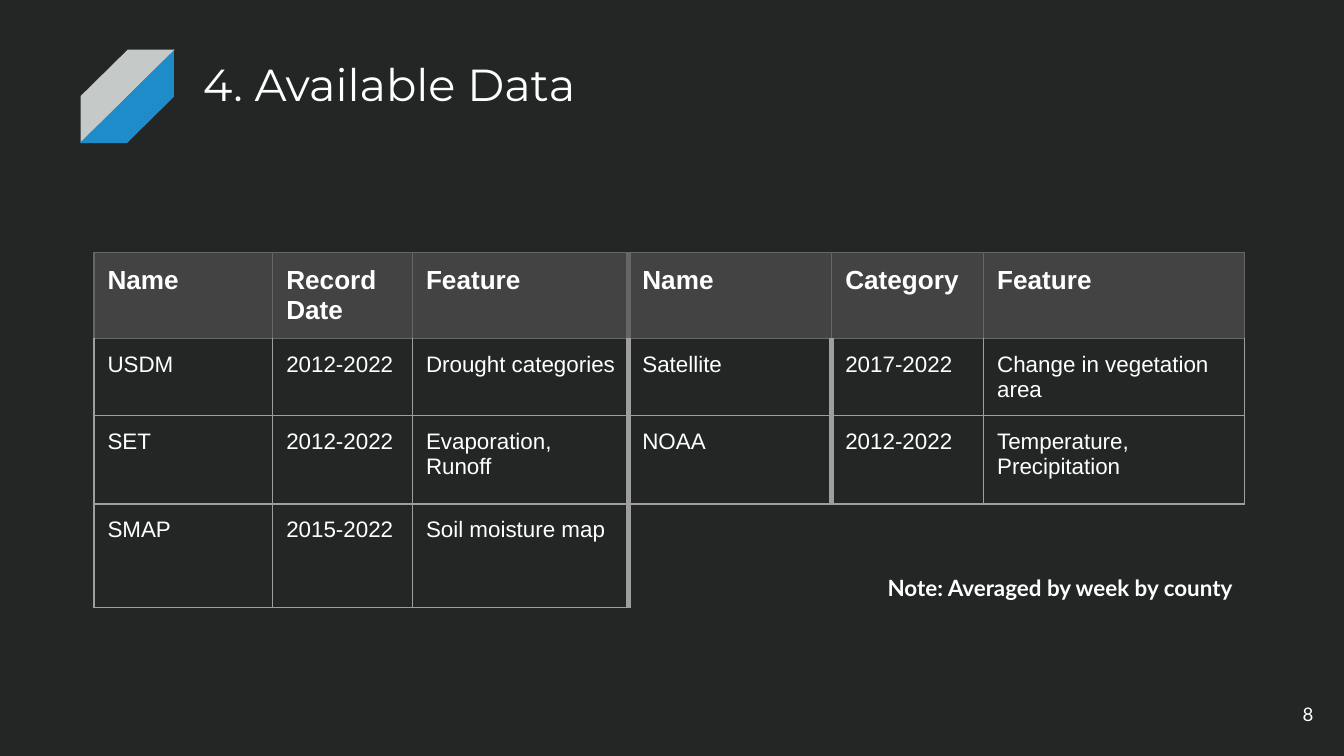
from lxml import etree
from pptx import Presentation
from pptx.dml.color import RGBColor
from pptx.enum.shapes import MSO_SHAPE as Preset
from pptx.enum.text import MSO_ANCHOR as Anchor, PP_ALIGN as Align
from pptx.oxml.ns import qn
from pptx.util import Inches, Pt

WHITE = "FFFFFF"
HEADER_LINE = "666666"
BODY_LINE = "9E9E9E"
NO_STYLE = "{2D5ABB26-0587-4C30-8999-92F81FD0307C}"
THIN, THICK = 0.75, 3
COLUMNS = [1.33, 1.04, 1.61, 1.51, 1.13, 1.94]
ROWS = [0.55, 0.43, 0.66, 0.77]
DATA = [
    ["Name", "Record Date", "Feature", "Name", "Category", "Feature"],
    ["USDM", "2012-2022", "Drought categories",
     "Satellite", "2017-2022", "Change in vegetation area"],
    ["SET", "2012-2022", "Evaporation, Runoff",
     "NOAA", "2012-2022", "Temperature, Precipitation"],
    ["SMAP", "2015-2022", "Soil moisture map", "", "", ""],
]


def color(value):
    """Turn a hex string into a colour."""
    return RGBColor.from_string(value)


def write(frame, text, font, size, bold=False, align=Align.LEFT, anchor=Anchor.TOP):
    """Put one formatted run into a text frame."""
    frame.word_wrap = True
    frame.vertical_anchor = anchor
    frame.margin_left = frame.margin_right = Inches(0.1)
    frame.margin_top = frame.margin_bottom = Inches(0.1)
    add_run(frame.paragraphs[0], text, font, size, bold, align)


def add_run(paragraph, text, font, size, bold, align=Align.LEFT):
    """Add one formatted run to a paragraph."""
    paragraph.alignment = align
    run = paragraph.add_run()
    run.text = text
    run.font.name = font
    run.font.size = Pt(size)
    run.font.bold = bold
    run.font.color.rgb = color(WHITE)


def add_title(slide, text):
    """Place and fill the title placeholder."""
    title = slide.shapes.title
    title.left, title.top = Inches(1.41), Inches(0.32)
    title.width, title.height = Inches(7.7), Inches(1)
    write(title.text_frame, text, "Montserrat", 24)


def add_label(slide, box, text, size, **options):
    """Add a right-aligned text box."""
    shape = slide.shapes.add_textbox(*map(Inches, box))
    write(shape.text_frame, text, "Lato", size, align=Align.RIGHT, **options)


def add_stripe(slide, box, fill):
    """Add one diagonal stripe of the emblem."""
    shape = slide.shapes.add_shape(Preset.DIAGONAL_STRIPE, *map(Inches, box))
    shape.adjustments[0] = 0.5
    shape.shadow.inherit = False
    shape.fill.solid()
    shape.fill.fore_color.rgb = color(fill)
    shape.line.fill.background()
    return shape


def add_emblem(slide):
    """Add the two mirrored stripes beside the title."""
    add_stripe(slide, (0.6, 0.37, 0.7, 0.69), "C5CAC8")
    lower = add_stripe(slide, (0.6, 0.37, 0.69, 0.7), "1F8CCA")
    lower.rotation = 90
    lower._element.spPr.find(qn("a:xfrm")).set("flipH", "1")


def add_border(cell, side, line, width):
    """Draw one side of a table cell, or clear it when there is no line."""
    properties = cell._tc.get_or_add_tcPr()
    border = etree.SubElement(properties, qn(f"a:ln{side}"), w=str(Pt(width)))
    if line:
        fill = etree.SubElement(border, qn("a:solidFill"))
        etree.SubElement(fill, qn("a:srgbClr"), val=line)
    else:
        etree.SubElement(border, qn("a:noFill"))


def divider_width(row, boundary):
    """Give the width of the vertical line before a column."""
    thick = boundary == 3 or (boundary == 4 and row in (1, 2))
    return THICK if thick else THIN


def format_borders(cell, row, column):
    """Draw the four sides of a cell; blank cells keep only shared sides."""
    line = BODY_LINE if row else HEADER_LINE
    shown = "LRTB"
    if not DATA[row][column]:
        shown = "LT" if column == 3 else "T"
    widths = {"L": divider_width(row, column),
              "R": divider_width(row, column + 1), "T": THIN, "B": THIN}
    for side, width in widths.items():
        side_line = HEADER_LINE if side == "T" and row == 1 else line
        add_border(cell, side, side_line if side in shown else None, width)


def add_data_table(slide):
    """Add the table of data sources."""
    frame = slide.shapes.add_table(
        len(ROWS), len(COLUMNS), Inches(0.7), Inches(1.88),
        Inches(sum(COLUMNS)), Inches(sum(ROWS)))
    table = frame.table
    table.horz_banding = False
    table._tbl.tblPr.find(qn("a:tableStyleId")).text = NO_STYLE
    for column, width in zip(table.columns, COLUMNS):
        column.width = Inches(width)
    for row, height in zip(table.rows, ROWS):
        row.height = Inches(height)
    for row, texts in enumerate(DATA):
        for column, text in enumerate(texts):
            cell = table.cell(row, column)
            format_borders(cell, row, column)
            cell.margin_left = cell.margin_right = Inches(0.1)
            cell.margin_top = cell.margin_bottom = Inches(0.1)
            if row == 0:
                cell.fill.solid()
                cell.fill.fore_color.rgb = color("434343")
            else:
                cell.fill.background()
            if text:
                add_run(cell.text_frame.paragraphs[0], text, "Arial",
                        12 if row else 14, row == 0)


def main():
    """Build and save the slide."""
    presentation = Presentation()
    presentation.slide_width = Inches(10)
    presentation.slide_height = Inches(10 * 9 / 16)
    slide = presentation.slides.add_slide(presentation.slide_layouts[5])
    slide.background.fill.solid()
    slide.background.fill.fore_color.rgb = color("242525")
    add_emblem(slide)
    add_title(slide, "4. Available Data")
    add_data_table(slide)
    add_label(slide, (4.69, 4.17, 4.58, 0.4), "Note: Averaged by week by county", 12, bold=True)
    add_label(slide, (9.27, 5.1, 0.6, 0.43), "8", 10, anchor=Anchor.MIDDLE)
    presentation.save("out.pptx")


if __name__ == "__main__":
    main()
